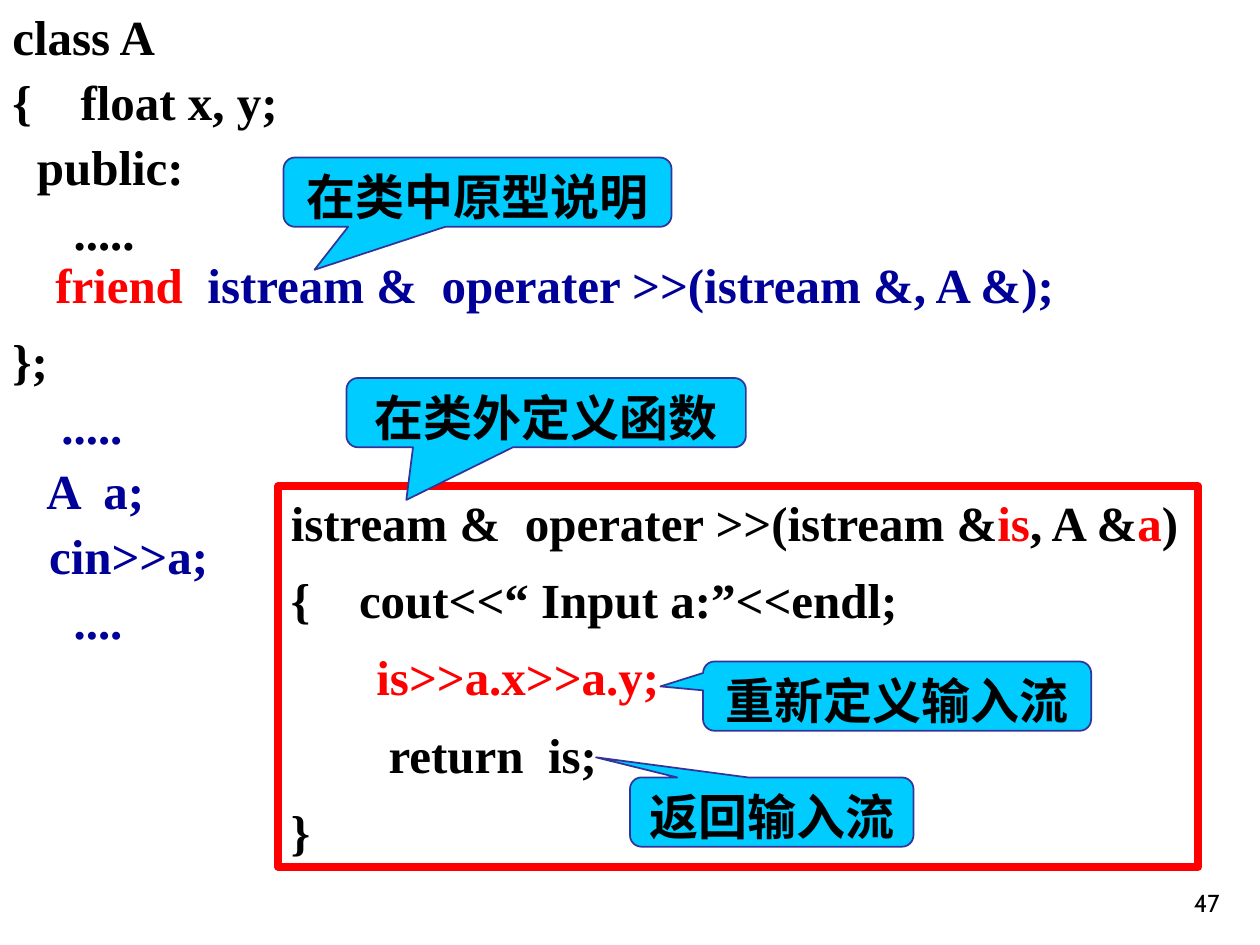
from pptx import Presentation
from pptx.dml.color import RGBColor
from pptx.enum import shapes, text
from pptx.util import Inches, Pt

COLORS = {"black": "000000", "navy": "000099", "red": "FF0000",
          "cyan": "00CCFF", "indigo": "333399"}
CODE_FONT = "Times New Roman"

# A paragraph is a list of (text, colour) runs.
CLASS_CODE = [
    [("class A", "black")],
    [("{    float x, y;", "black")],
    [("  public:", "black")],
    [("     .....", "black")],
    [("};", "black")],
    [("    .....", "navy")],
    [("   A  a;", "navy")],
    [("   cin>>a;", "navy")],
    [("     ....", "navy")],
]
CLOSING_BRACE = 4
FRIEND_CODE = [
    [("friend", "red"), ("  istream &  operater >>(istream &, A &);", "navy")],
]
OPERATOR_CODE = [
    [("istream &  operater >>(istream &", "black"), ("is", "red"),
     (", A &", "black"), ("a", "red"), (")", "black")],
    [("{    cout<<“ Input a:”<<endl;", "black")],
    [("       ", "black"), ("is>>a.x>>a.y;", "red")],
    [("        return  is;", "black")],
    [("}", "black")],
]
# text, left, top, width, pointer x, pointer y
CALLOUTS = [
    ("重新定义输入流", 5.58, 5.25, 3.08, -0.61, -0.14),
    ("在类中原型说明", 2.25, 1.25, 3.08, -0.42, 1.12),
    ("在类外定义函数", 2.75, 3, 3.17, -0.35, 1.26),
    ("返回输入流", 5, 6.17, 2.25, -0.62, -0.79),
]
CALLOUT_HEIGHT = 0.55


def color(name):
    return RGBColor.from_string(COLORS[name])


def set_all(target, values):
    for name, value in values.items():
        setattr(target, name, value)


def write(shape, paragraphs, gap=0, size=28, font=CODE_FONT, bold=True,
          insets=(0.1, 0.05), wrap=True, anchor=text.MSO_ANCHOR.TOP,
          fit=text.MSO_AUTO_SIZE.SHAPE_TO_FIT_TEXT, **paragraph_format):
    """Fill a shape with paragraphs, with gap points between them."""
    frame = shape.text_frame
    across, down = map(Inches, insets)
    set_all(frame, {"margin_left": across, "margin_right": across,
                    "margin_top": down, "margin_bottom": down,
                    "word_wrap": wrap, "vertical_anchor": anchor,
                    "auto_size": fit})
    for index, runs in enumerate(paragraphs):
        paragraph = frame.paragraphs[0] if index == 0 else frame.add_paragraph()
        set_all(paragraph, {"alignment": text.PP_ALIGN.LEFT,
                            "space_before": Pt(gap if index else 0),
                            **paragraph_format})
        for words, color_name in runs:
            run = paragraph.add_run()
            run.text = words
            set_all(run.font, {"name": font, "size": Pt(size), "bold": bold})
            run.font.color.rgb = color(color_name)


def add_box(slide, *place):
    return slide.shapes.add_textbox(*map(Inches, place))


def add_outlined(slide, kind, place, line, width, fill=None):
    shape = slide.shapes.add_shape(kind, *map(Inches, place))
    shape.shadow.inherit = False
    shape.line.color.rgb = color(line)
    shape.line.width = Pt(width)
    if fill:
        shape.fill.solid()
        shape.fill.fore_color.rgb = color(fill)
    else:
        shape.fill.background()
    return shape


def main():
    presentation = Presentation()
    presentation.slide_width, presentation.slide_height = Inches(10), Inches(7.5)
    slide = presentation.slides.add_slide(presentation.slide_layouts[6])

    write(add_box(slide, 7.7, 6.83, 2.08, 0.5), [[("47", "black")]],
          size=14, font="Cabin", bold=False, anchor=text.MSO_ANCHOR.BOTTOM,
          fit=text.MSO_AUTO_SIZE.NONE, alignment=text.PP_ALIGN.RIGHT)

    class_box = add_box(slide, 0, 0, 3.08, 5.21)
    write(class_box, CLASS_CODE, gap=3.5)
    # Leaves room for the friend declaration above the closing brace.
    class_box.text_frame.paragraphs[CLOSING_BRACE].space_before = Pt(40.5)

    write(add_box(slide, 0.34, 1.83, 8.19, 0.71), FRIEND_CODE,
          wrap=False, line_spacing=1.3)

    operator_box = add_outlined(slide, shapes.MSO_SHAPE.RECTANGLE,
                                (2.21, 3.86, 7.3, 3.02), "red", 4.5)
    write(operator_box, OPERATOR_CODE, gap=10.5, wrap=False)

    for words, left, top, width, pointer_x, pointer_y in CALLOUTS:
        callout = add_outlined(
            slide, shapes.MSO_SHAPE.ROUNDED_RECTANGULAR_CALLOUT,
            (left, top, width, CALLOUT_HEIGHT), "indigo", 1, "cyan")
        callout.adjustments[0] = pointer_x
        callout.adjustments[1] = pointer_y
        write(callout, [[(words, "black")]], insets=(0.02, 0),
              alignment=text.PP_ALIGN.CENTER, line_spacing=1.1)

    presentation.save("out.pptx")


if __name__ == "__main__":
    main()
